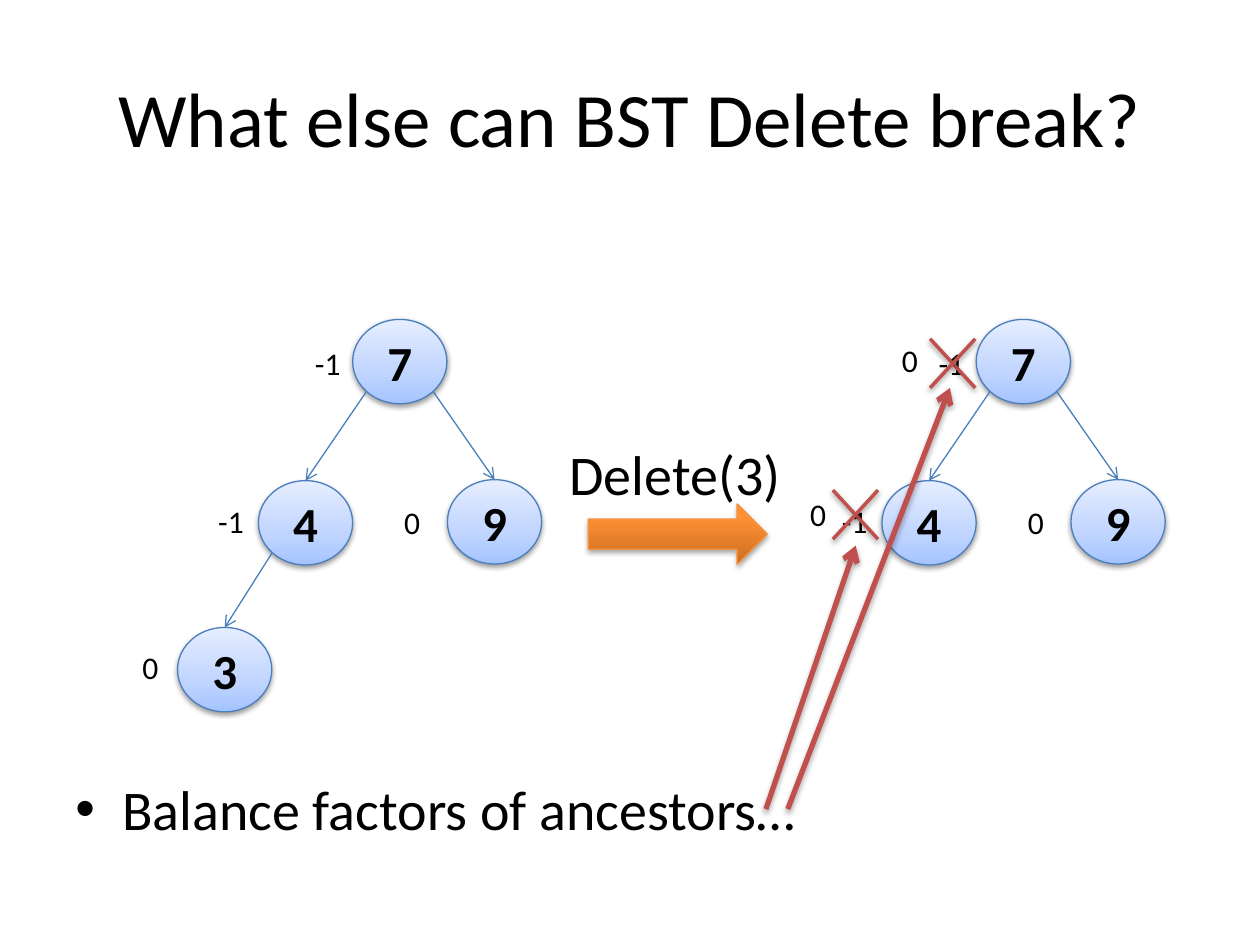
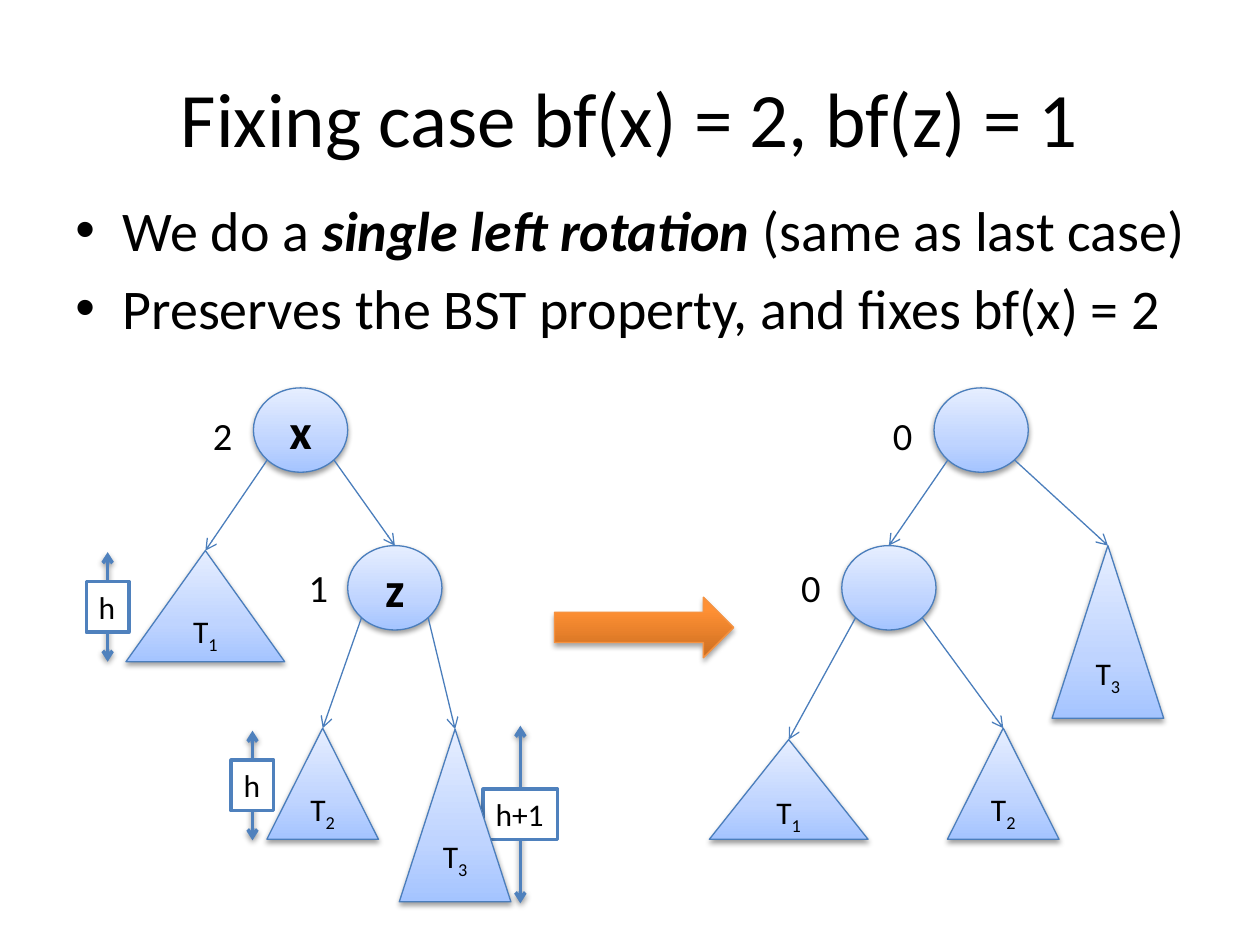
"""Build two slides on deleting from balanced search trees."""
import dataclasses
import math
import typing

import pptx
import pptx.dml.color
import pptx.enum.shapes
import pptx.enum.text
import pptx.oxml.ns
import pptx.util
from lxml import etree

Cm, Pt = pptx.util.Cm, pptx.util.Pt
RGB = pptx.dml.color.RGBColor
Kind = pptx.enum.shapes.MSO_SHAPE
Align = pptx.enum.text.PP_ALIGN
Anchor = pptx.enum.text.MSO_ANCHOR
Fit = pptx.enum.text.MSO_AUTO_SIZE
qn = pptx.oxml.ns.qn

BLACK = RGB(0x00, 0x00, 0x00)
WHITE = RGB(0xFF, 0xFF, 0xFF)
EDGE = RGB(0x4B, 0x7E, 0xBC)
BLUE = RGB(0x4F, 0x81, 0xBD)
RED = RGB(0xC0, 0x50, 0x4D)
RIM = RGB(0xF6, 0x92, 0x40)
SKY = ((0, RGB(0xA4, 0xC4, 0xFF)), (0.35, RGB(0xBF, 0xD4, 0xFF)),
       (1, RGB(0xE6, 0xEE, 0xFF)))
SUN = ((0, RGB(0xCC, 0x6E, 0x20)), (0.8, RGB(0xFF, 0x90, 0x34)),
       (1, RGB(0xFF, 0x91, 0x36)))

FONT = "Calibri"
TEXT_H = {18: 1.02, 22: 1.19, 32: 1.63}
Runs = list[tuple[str, dict]]


@dataclasses.dataclass
class Node:
    """A round tree node or a triangular subtree, in centimetres."""
    name: str
    x: float
    y: float
    w: float = 1.9
    h: float = 1.7
    sub: str = ""

    @property
    def mid(self) -> float:
        """Give the horizontal centre."""
        return self.x + self.w / 2


class Label(typing.NamedTuple):
    """A short text on one line."""
    text: str
    x: float
    y: float
    w: float
    size: int = 18


class Span(typing.NamedTuple):
    """A height mark: a double arrow with a boxed text at its middle."""
    text: str
    x: float
    top: float
    end: float
    w: float


def write(par, runs: Runs, size: float, **base) -> None:
    """Add formatted runs to a paragraph."""
    for text, style in runs:
        run = par.add_run()
        run.text = text
        form = {"name": FONT, "size": Pt(size), **base, **style}
        drop = form.pop("drop", None)
        for key, value in form.items():
            setattr(run.font, key, value)
        run.font.color.rgb = BLACK
        if drop:
            run._r.get_or_add_rPr().set("baseline", str(drop))


def shade(item, alpha: int = 38, dist: int = 20000) -> None:
    """Give a finished shape or line a soft shadow below it."""
    fx = etree.SubElement(item._element.spPr, qn("a:effectLst"))
    glow = etree.SubElement(fx, qn("a:outerShdw"), blurRad="40000",
                            dist=str(dist), dir="5400000", rotWithShape="0")
    tone = etree.SubElement(glow, qn("a:srgbClr"), val="000000")
    etree.SubElement(tone, qn("a:alpha"), val=str(alpha * 1000))


def blend(shape, stops) -> None:
    """Fill a shape with a gradient that runs upwards."""
    shape.fill.gradient()
    shape.fill.gradient_angle = 90
    rows = shape._element.spPr.find(".//" + qn("a:gsLst"))
    for row in list(rows):
        rows.remove(row)
    for place, color in stops:
        row = etree.SubElement(rows, qn("a:gs"), pos=str(int(place * 100000)))
        etree.SubElement(row, qn("a:srgbClr"), val=str(color))


def stroke(item, color: RGB, width: float) -> None:
    """Set the line of a shape or a connector."""
    item.line.color.rgb = color
    item.line.width = Pt(width)


def join(slide, start, end, color: RGB = EDGE, width: float = 0.75,
         tips: tuple = ("tailEnd",), cast: tuple | None = None) -> None:
    """Draw a straight line with open arrowheads and a shadow if asked."""
    line = slide.shapes.add_connector(
        pptx.enum.shapes.MSO_CONNECTOR.STRAIGHT,
        *(Cm(n) for n in (*start, *end)))
    stroke(line, color, width)
    for tip in tips:
        etree.SubElement(line.line._get_or_add_ln(), qn("a:" + tip),
                         type="arrow")
    if cast:
        shade(line, *cast)
    else:
        etree.SubElement(line._element.spPr, qn("a:effectLst"))


def grow(slide, node: Node) -> None:
    """Draw a node as an ellipse, or as a triangle if it is a subtree."""
    kind = Kind.ISOSCELES_TRIANGLE if node.sub else Kind.OVAL
    shape = slide.shapes.add_shape(
        kind, Cm(node.x), Cm(node.y), Cm(node.w), Cm(node.h))
    blend(shape, SKY)
    stroke(shape, EDGE, 0.75)
    shade(shape)
    if not node.name:
        return
    frame = shape.text_frame
    frame.vertical_anchor = Anchor.MIDDLE
    par = frame.paragraphs[0]
    par.alignment = Align.CENTER
    if node.sub:
        write(par, [(node.name, {}), (node.sub, {"drop": -25000})], 18)
    else:
        write(par, [(node.name, {"bold": True})], 28)


def tree(slide, nodes: list[Node], ties: list[tuple[int, int]]) -> None:
    """Draw nodes, and an arrow from each parent to its child's top."""
    for node in nodes:
        grow(slide, node)
    reach = math.sqrt(0.5) / 2
    for up, down in ties:
        head, leaf = nodes[up], nodes[down]
        side = math.copysign(reach, leaf.mid - head.mid)
        start = (head.mid + side * head.w, head.y + head.h * (0.5 + reach))
        join(slide, start, (leaf.mid, leaf.y))


def fill_line(shape, label: Label) -> None:
    """Put a label's text on one line in a shape that fits it."""
    frame = shape.text_frame
    form = {"word_wrap": False, "auto_size": Fit.SHAPE_TO_FIT_TEXT,
            "vertical_anchor": Anchor.TOP}
    for key, value in form.items():
        setattr(frame, key, value)
    frame.paragraphs[0].alignment = Align.LEFT
    write(frame.paragraphs[0], [(label.text, {})], label.size)


def note(slide, label: Label) -> None:
    """Place a label."""
    fill_line(slide.shapes.add_textbox(
        Cm(label.x), Cm(label.y), Cm(label.w), Cm(TEXT_H[label.size])), label)


def gauge(slide, span: Span) -> None:
    """Draw a height mark."""
    join(slide, (span.x, span.top), (span.x, span.end), BLUE, 2,
         ("headEnd", "tailEnd"), (38, 20000))
    high = TEXT_H[18]
    left, top = span.x - span.w / 2, (span.top + span.end - high) / 2
    box = slide.shapes.add_shape(
        Kind.RECTANGLE, Cm(left), Cm(top), Cm(span.w), Cm(high))
    box.shadow.inherit = False
    box.fill.solid()
    box.fill.fore_color.rgb = WHITE
    stroke(box, BLUE, 2)
    fill_line(box, Label(span.text, left, top, span.w))


def step(slide, x: float, y: float) -> None:
    """Draw the block arrow between two trees."""
    arrow = slide.shapes.add_shape(
        Kind.RIGHT_ARROW, Cm(x), Cm(y), Cm(3.61), Cm(1.22))
    blend(arrow, SUN)
    stroke(arrow, RIM, 0.75)
    shade(arrow, 35, 23000)


def cross(slide, x: float, y: float) -> None:
    """Strike out a value with two red lines."""
    w, h = 0.91, 0.99
    for left, right in ((x, x + w), (x + w, x)):
        join(slide, (left, y), (right, y + h), RED, 2, (), (38, 20000))


def points(slide, box: tuple, items: list[Runs]) -> None:
    """Write a bulleted list."""
    frame = slide.shapes.add_textbox(*(Cm(n) for n in box)).text_frame
    frame.word_wrap = True
    for i, runs in enumerate(items):
        par = frame.add_paragraph() if i else frame.paragraphs[0]
        par.space_before = Pt(6.4)
        write(par, runs, 32)
        props = par._p.get_or_add_pPr()
        props.set("marL", str(Cm(0.95)))
        props.set("indent", str(-Cm(0.95)))
        etree.SubElement(props, qn("a:buFont"), typeface="Arial")
        etree.SubElement(props, qn("a:buChar"), char="\u2022")


def begin(deck, title: str):
    """Add a slide with its title."""
    slide = deck.slides.add_slide(deck.slide_layouts[5])
    head = slide.shapes.title
    place = {"left": 1.27, "top": 0.76, "width": 22.86, "height": 3.18}
    for key, value in place.items():
        setattr(head, key, Cm(value))
    head.text_frame.vertical_anchor = Anchor.MIDDLE
    par = head.text_frame.paragraphs[0]
    par.alignment = Align.CENTER
    write(par, [(title, {})], 44)
    return slide


def factors(deck) -> None:
    """Build the slide on balance factors after a delete."""
    slide = begin(deck, "What else can BST Delete break?")
    points(slide, (1.27, 15.49, 22.86, 1.63),
           [[("Balance factors of ancestors\u2026", {})]])
    for shift in (0, 12.57):
        nodes = [Node("7", 7.11 + shift, 6.44), Node("4", 5.21 + shift, 9.69),
                 Node("9", 9.02 + shift, 9.67)]
        ties = [(0, 1), (0, 2)]
        if not shift:
            nodes.append(Node("3", 3.58, 12.65))
            ties.append((1, 3))
        tree(slide, nodes, ties)
        for label in (Label("-1", 6.1 + shift, 6.82, 1.04),
                      Label("-1", 4.15 + shift, 10, 1.04),
                      Label("0", 7.9 + shift, 10.02, 0.84)):
            note(slide, label)
    step(slide, 11.86, 10.16)
    for label in (Label("Delete(3)", 11.23, 8.74, 4.83, 32),
                  Label("0", 2.62, 12.93, 0.84),
                  Label("0", 16.08, 9.86, 0.84),
                  Label("0", 17.93, 6.76, 0.84)):
        note(slide, label)
    for start, end in ((15.44, (17.25, 11)), (15.88, (19.15, 7.82))):
        join(slide, (start, 16.31), end, RED, 3, cast=(35, 23000))
    cross(slide, 18.75, 6.83)
    cross(slide, 16.79, 9.88)


def rotate(deck) -> None:
    """Build the slide on the single left rotation."""
    slide = begin(deck, "Fixing case bf(x) = 2, bf(z) = 1")
    strong = {"bold": True, "italic": True}
    points(slide, (1.27, 3.81, 23.06, 12.57), [
        [("We do a ", {}), ("single left rotation ", strong),
         ("(same as last case)", {})],
        [("Preserves the BST property, and fixes bf(x) = 2", {})]])
    for span in (Span("h+1", 10.49, 14.63, 18.21, 1.5),
                 Span("h", 2.17, 11.13, 13.34, 0.86),
                 Span("h", 5.09, 14.73, 16.94, 0.86)):
        gauge(slide, span)
    tree(slide, [Node("x", 5.11, 7.82), Node("z", 7.01, 11),
                 Node("T", 2.54, 11.1, 3.2, 2.24, "1"),
                 Node("T", 5.38, 14.68, 2.25, 2.24, "2"),
                 Node("T", 8.05, 14.7, 2.25, 3.48, "3")],
         [(0, 1), (0, 2), (1, 3), (1, 4)])
    tree(slide, [Node("", 18.83, 7.82), Node("", 16.97, 11),
                 Node("T", 14.3, 14.91, 3.2, 2.01, "1"),
                 Node("T", 19.1, 14.68, 2.25, 2.24, "2"),
                 Node("T", 21.21, 11, 2.25, 3.48, "3")],
         [(0, 1), (0, 4), (1, 2), (1, 3)])
    step(slide, 11.18, 12.04)
    for text, x, y in (("2", 4.04, 8.18), ("1", 5.97, 11.25),
                       ("0", 17.75, 8.18), ("0", 15.9, 11.25)):
        note(slide, Label(text, x, y, 0.91, 22))


deck = pptx.Presentation()
deck.slide_width, deck.slide_height = Cm(25.4), Cm(19.05)
factors(deck)
rotate(deck)
deck.save("out.pptx")
